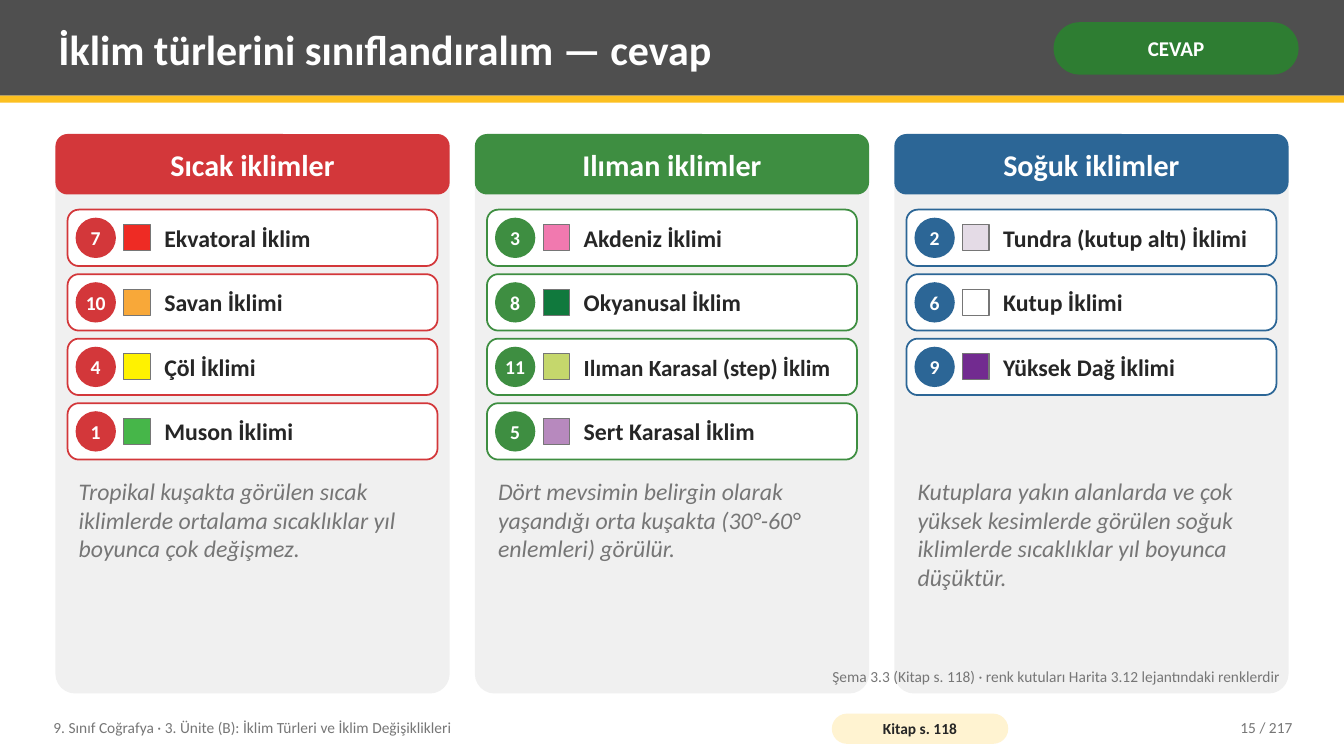
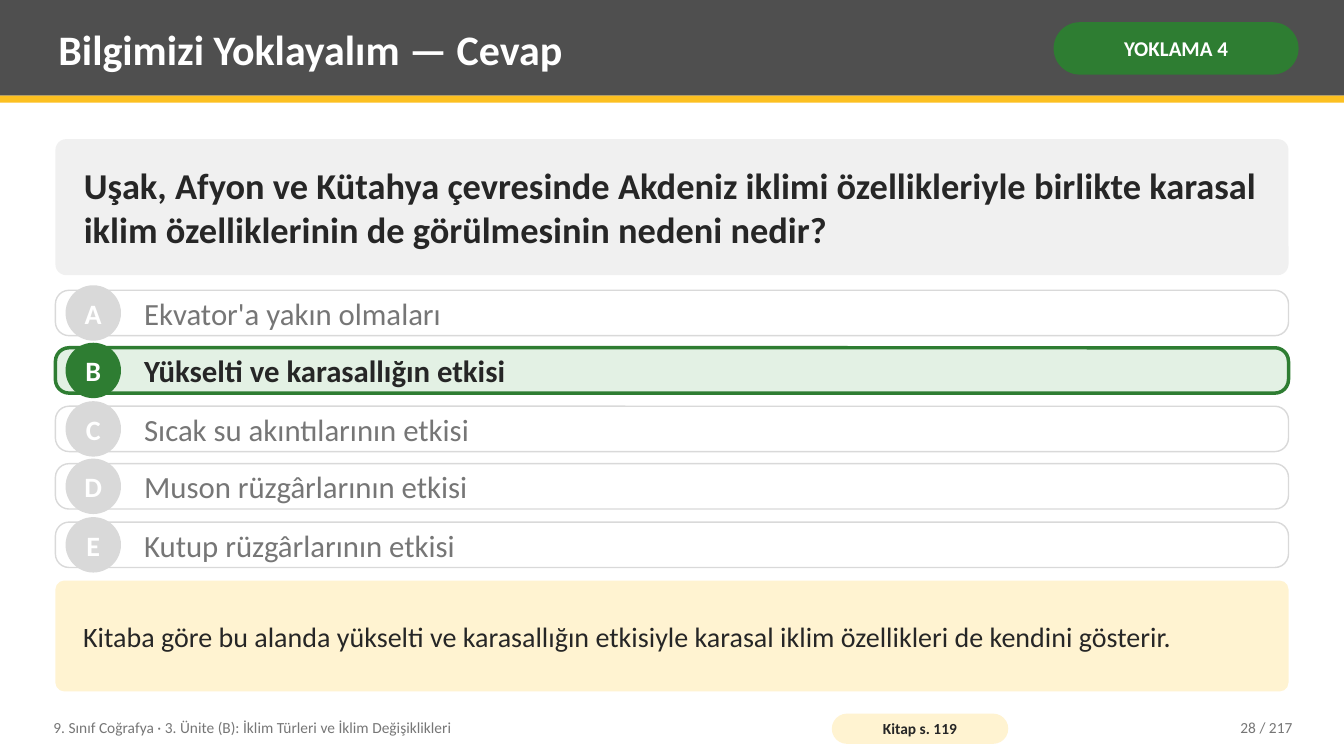
"""Build two geography answer slides: climate groups and a quiz question."""
from pptx import Presentation
from pptx.dml.color import RGBColor
from pptx.enum.shapes import MSO_SHAPE
from pptx.enum.text import MSO_ANCHOR, MSO_AUTO_SIZE, PP_ALIGN
from pptx.util import Pt

PX = 9144
FONT = "Calibri"
RECTANGLE, ROUNDED, OVAL = MSO_SHAPE.RECTANGLE, MSO_SHAPE.ROUNDED_RECTANGLE, MSO_SHAPE.OVAL
LEFT, CENTER, RIGHT = PP_ALIGN.LEFT, PP_ALIGN.CENTER, PP_ALIGN.RIGHT
TOP, MIDDLE = MSO_ANCHOR.TOP, MSO_ANCHOR.MIDDLE
NO_AUTOFIT = MSO_AUTO_SIZE.NONE

WHITE, INK, GREY = "FFFFFF", "262626", "767676"
CHARCOAL, GOLD, CREAM = "4F4F4F", "FCC021", "FFF3D1"
PANEL, MUTED = "F0F0F0", "D9D9D9"
ANSWER, ANSWER_TINT = "2E7D32", "E3F1E4"
MARGIN, CONTENT_WIDTH = 55, 1223
TOTAL_PAGES = 217
FOOTER = "9. Sınıf Coğrafya · 3. Ünite (B): İklim Türleri ve İklim Değişiklikleri"

PAGES = [
    ("İklim türlerini sınıflandıralım — cevap", "CEVAP", "Kitap s. 118", 15),
    ("Bilgimizi Yoklayalım — Cevap", "YOKLAMA 4", "Kitap s. 119", 28),
]
CLIMATE_GROUPS = [
    ("Sıcak iklimler", "D3373A",
     [("7", "EE2B24", "Ekvatoral İklim"), ("10", "F8A839", "Savan İklimi"),
      ("4", "FFF200", "Çöl İklimi"), ("1", "46B649", "Muson İklimi")],
     "Tropikal kuşakta görülen sıcak iklimlerde ortalama sıcaklıklar yıl boyunca çok değişmez."),
    ("Ilıman iklimler", "3E8E41",
     [("3", "F179AF", "Akdeniz İklimi"), ("8", "10793D", "Okyanusal İklim"),
      ("11", "C5D76C", "Ilıman Karasal (step) İklim"), ("5", "B789BE", "Sert Karasal İklim")],
     "Dört mevsimin belirgin olarak yaşandığı orta kuşakta (30°-60° enlemleri) görülür."),
    ("Soğuk iklimler", "2C6696",
     [("2", "E4DBE6", "Tundra (kutup altı) İklimi"), ("6", "FFFFFF", "Kutup İklimi"),
      ("9", "722B90", "Yüksek Dağ İklimi")],
     "Kutuplara yakın alanlarda ve çok yüksek kesimlerde görülen soğuk iklimlerde "
     "sıcaklıklar yıl boyunca düşüktür."),
]
QUESTION = ("Uşak, Afyon ve Kütahya çevresinde Akdeniz iklimi özellikleriyle birlikte "
            "karasal iklim özelliklerinin de görülmesinin nedeni nedir?")
OPTIONS = [
    ("A", "Ekvator'a yakın olmaları"),
    ("B", "Yükselti ve karasallığın etkisi"),
    ("C", "Sıcak su akıntılarının etkisi"),
    ("D", "Muson rüzgârlarının etkisi"),
    ("E", "Kutup rüzgârlarının etkisi"),
]
CORRECT = "B"
EXPLANATION = ("Kitaba göre bu alanda yükselti ve karasallığın etkisiyle karasal iklim "
               "özellikleri de kendini gösterir.")


def add_box(slide, kind, left, top, width, height, fill=None, line=None, weight=1, corner=None):
    """Add a preset shape, or a text box when kind is None."""
    bounds = [value * PX for value in (left, top, width, height)]
    if kind is None:
        return slide.shapes.add_textbox(*bounds)
    shape = slide.shapes.add_shape(kind, *bounds)
    shape.shadow.inherit = False
    shape.fill.solid()
    shape.fill.fore_color.rgb = RGBColor.from_string(fill)
    if line:
        shape.line.color.rgb = RGBColor.from_string(line)
        shape.line.width = Pt(weight)
    else:
        shape.line.fill.background()
    if corner is not None:
        shape.adjustments[0] = corner
    return shape


def write_text(shape, text, size, color, bold=False, italic=False,
               align=LEFT, anchor=MIDDLE, inset=(8, 4), wrap=True):
    """Fill a shape with one formatted paragraph."""
    frame = shape.text_frame
    frame.text = text
    frame.auto_size = NO_AUTOFIT
    frame.word_wrap = wrap
    frame.vertical_anchor = anchor
    frame.margin_left = frame.margin_right = inset[0] * PX
    frame.margin_top = frame.margin_bottom = inset[1] * PX
    paragraph = frame.paragraphs[0]
    paragraph.alignment = align
    font = paragraph.runs[0].font
    font.name, font.size, font.bold, font.italic = FONT, Pt(size), bold, italic
    font.color.rgb = RGBColor.from_string(color)


presentation = Presentation()
presentation.slide_width = 1333 * PX
presentation.slide_height = 750 * PX

for title_text, tag, book_page, number in PAGES:
    slide = presentation.slides.add_slide(presentation.slide_layouts[5])
    add_box(slide, RECTANGLE, 0, 0, 1333, 95, CHARCOAL)
    add_box(slide, RECTANGLE, 0, 95, 1333, 7, GOLD)
    title = slide.shapes.title
    title.left, title.top, title.width, title.height = 50 * PX, 7 * PX, 975 * PX, 82 * PX
    write_text(title, title_text, 30, WHITE, bold=True)
    slide.shapes.element.append(title.element)
    tag_pill = add_box(slide, ROUNDED, 1045, 22, 243, 52, ANSWER, corner=0.5)
    write_text(tag_pill, tag, 15, WHITE, bold=True, align=CENTER, inset=(5, 2))
    write_text(add_box(slide, None, 45, 704, 760, 36), FOOTER, 11, GREY)
    page_pill = add_box(slide, ROUNDED, 825, 708, 175, 30, CREAM, corner=0.5)
    write_text(page_pill, book_page, 11, INK, bold=True, align=CENTER, inset=(4, 0))
    page_number = add_box(slide, None, 1130, 704, 160, 36)
    write_text(page_number, f"{number} / {TOTAL_PAGES}", 11, GREY, align=RIGHT)

climate_slide, quiz_slide = presentation.slides

for column, (heading, accent, climates, summary) in enumerate(CLIMATE_GROUPS):
    left = MARGIN + 416 * column
    add_box(climate_slide, ROUNDED, left, 133, 391, 555, PANEL, corner=0.05)
    header = add_box(climate_slide, ROUNDED, left, 133, 391, 60, accent, corner=0.2)
    write_text(header, heading, 21.5, WHITE, bold=True, align=CENTER, inset=(14, 8))
    for row, (key, swatch, climate) in enumerate(climates):
        top = 208 + 64 * row
        add_box(climate_slide, ROUNDED, left + 12, top, 367, 56, WHITE, accent, 1.25, 0.2)
        badge = add_box(climate_slide, OVAL, left + 20, top + 8, 40, 40, accent)
        write_text(badge, key, 14, WHITE, bold=True, align=CENTER, inset=(0, 0), wrap=False)
        add_box(climate_slide, RECTANGLE, left + 68, top + 15, 26, 26, swatch, GREY, 0.75)
        label = add_box(climate_slide, None, left + 100, top, 276, 56)
        write_text(label, climate, 16.5 if len(climate) > 26 else 17, INK, bold=True)
    summary_box = add_box(climate_slide, None, left + 15, 469, 361, 209)
    write_text(summary_box, summary, 17, GREY, italic=True, anchor=TOP)

source_note = add_box(climate_slide, None, MARGIN, 658, CONTENT_WIDTH, 30)
write_text(source_note, "Şema 3.3 (Kitap s. 118) · renk kutuları Harita 3.12 lejantındaki renklerdir",
           11, GREY, align=RIGHT, anchor=TOP)

question_box = add_box(quiz_slide, ROUNDED, MARGIN, 138, CONTENT_WIDTH, 135, PANEL, corner=0.08)
write_text(question_box, QUESTION, 26, INK, bold=True, inset=(25, 8))
for row, (letter, option) in enumerate(OPTIONS):
    top = 288 + 115 * row // 2
    correct = letter == CORRECT
    accent = ANSWER if correct else MUTED
    add_box(quiz_slide, ROUNDED, MARGIN, top, CONTENT_WIDTH, 45,
            ANSWER_TINT if correct else WHITE, accent, 2.5 if correct else 1, 0.3)
    badge = add_box(quiz_slide, OVAL, MARGIN + 10, top - 5, 55, 55, accent)
    write_text(badge, letter, 20, WHITE, bold=True, align=CENTER, inset=(0, 0), wrap=False)
    label = add_box(quiz_slide, None, MARGIN + 80, top, 1123, 45)
    write_text(label, option, 22, INK if correct else GREY, bold=correct)
explanation_box = add_box(quiz_slide, ROUNDED, MARGIN, 576, CONTENT_WIDTH, 110, CREAM, corner=0.08)
write_text(explanation_box, EXPLANATION, 20, INK, inset=(25, 8))

presentation.save("out.pptx")
